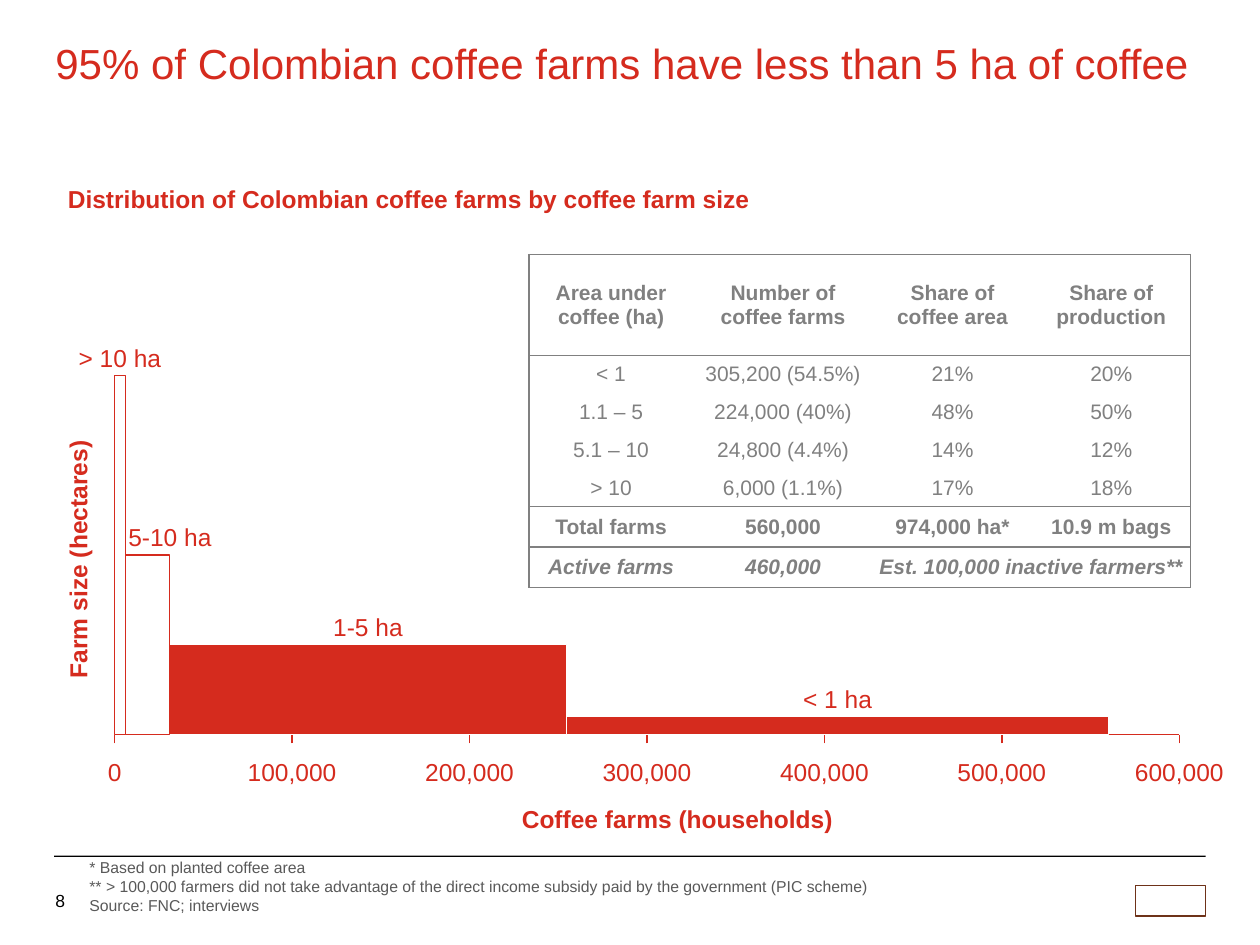
from dataclasses import dataclass
from itertools import accumulate

from lxml import etree
from pptx import Presentation
from pptx import util as u
from pptx.dml.color import RGBColor
from pptx.enum import shapes, text
from pptx.oxml.ns import qn


@dataclass(frozen=True)
class Theme:
    red: str = "D52B1E"
    gray: str = "808080"
    note: str = "595959"
    black: str = "000000"
    white: str = "FFFFFF"
    brown: str = "6E3219"
    font: str = "Arial"
    title: int = 24
    label: int = 14
    cell: int = 12
    number: int = 10
    footnote: int = 9


THEME = Theme()
ALIGN = text.PP_ALIGN
ANCHOR = text.MSO_ANCHOR

AXIS_LEFT, AXIS_Y = 0.91, 5.83
AXIS_WIDTH, AXIS_MAX, AXIS_STEP = 8.45, 600_000, 100_000
INCHES_PER_FARM = AXIS_WIDTH / AXIS_MAX
INCHES_PER_HECTARE = 0.1425
LABEL_WIDTH, LABEL_HEIGHT = 0.8, 0.23

# label, farms, height in hectares, filled, label shift
BARS = [
    ("> 10 ha", 6_000, 20, False, 0),
    ("5-10 ha", 24_800, 10, False, 0.18),
    ("1-5 ha", 224_000, 5, True, 0),
    ("< 1 ha", 305_200, 1, True, 0),
]

TABLE_ROWS = [
    ["Area under coffee (ha)", "Number of coffee farms", "Share of coffee area", "Share of production"],
    ["< 1", "305,200 (54.5%)", "21%", "20%"],
    ["1.1 – 5", "224,000 (40%)", "48%", "50%"],
    ["5.1 – 10", "24,800 (4.4%)", "14%", "12%"],
    ["> 10", "6,000 (1.1%)", "17%", "18%"],
    ["Total farms", "560,000", "974,000 ha*", "10.9 m bags"],
    ["Active farms", "460,000", "Est. 100,000 inactive farmers**", ""],
]
COLUMN_WIDTHS = [1.3, 1.43, 1.26, 1.26]
ROW_HEIGHTS = [0.8] + [0.3] * 4 + [0.32] * 2
RULED_EDGES = {0, 1, 5, 6, 7}

FOOTNOTES = """* Based on planted coffee area
** > 100,000 farmers did not take advantage of the direct income subsidy paid by the government (PIC scheme)
Source: FNC; interviews"""


def color(value):
    return RGBColor.from_string(value)


def write(frame, content, size=THEME.label, fill=THEME.red, bold=False, italic=False,
          align=ALIGN.LEFT, spacing=None):
    """Fill a text frame, one paragraph per line of content."""
    for index, line in enumerate(content.split("\n")):
        paragraph = frame.add_paragraph() if index else frame.paragraphs[0]
        paragraph.alignment = align
        paragraph.line_spacing = spacing
        run = paragraph.add_run()
        run.text = line
        font = run.font
        font.name, font.size, font.bold, font.italic = THEME.font, u.Pt(size), bold, italic
        font.color.rgb = color(fill)


def add_text(slide, content, left, top, width, height, margins=(0, 0), anchor=ANCHOR.TOP,
             wrap=True, rotation=0, **style):
    box = slide.shapes.add_textbox(*map(u.Inches, (left, top, width, height)))
    box.rotation = rotation
    frame = box.text_frame
    frame.word_wrap = wrap
    frame.vertical_anchor = anchor
    frame.margin_left = frame.margin_right = u.Inches(margins[0])
    frame.margin_top = frame.margin_bottom = u.Inches(margins[1])
    write(frame, content, **style)


def add_centered_label(slide, content, center, top):
    add_text(slide, content, center - LABEL_WIDTH / 2, top, LABEL_WIDTH, LABEL_HEIGHT,
             wrap=False, align=ALIGN.CENTER)


def add_rectangle(slide, left, top, width, height, fill, line=None):
    shape = slide.shapes.add_shape(shapes.MSO_SHAPE.RECTANGLE,
                                   *map(u.Inches, (left, top, width, height)))
    shape.shadow.inherit = False
    shape.fill.solid()
    shape.fill.fore_color.rgb = color(fill)
    if line:
        shape.line.color.rgb = color(line)
        shape.line.width = u.Pt(0.75)
    else:
        shape.line.fill.background()


def add_line(slide, x1, y1, x2, y2):
    line = slide.shapes.add_connector(shapes.MSO_CONNECTOR.STRAIGHT,
                                      *map(u.Inches, (x1, y1, x2, y2)))
    line.line.color.rgb = color(THEME.red)
    line.line.width = u.Pt(0.75)
    etree.SubElement(line._element.spPr, qn("a:effectLst"))


def add_axis(slide):
    add_line(slide, AXIS_LEFT, AXIS_Y, AXIS_LEFT + AXIS_WIDTH, AXIS_Y)
    for value in range(0, AXIS_MAX + 1, AXIS_STEP):
        x = AXIS_LEFT + value * INCHES_PER_FARM
        add_line(slide, x, AXIS_Y + 0.07, x, AXIS_Y)
        add_centered_label(slide, f"{value:,}", x, 6.01)


def add_bars(slide):
    """Draw bars whose width is the farm count and whose height is the farm size."""
    starts = accumulate((bar[1] for bar in BARS), initial=0)
    for start, (label, farms, hectares, filled, shift) in reversed(list(zip(starts, BARS))):
        left = AXIS_LEFT + start * INCHES_PER_FARM
        width = farms * INCHES_PER_FARM
        height = hectares * INCHES_PER_HECTARE
        top = AXIS_Y - height
        fill, line = (THEME.red, THEME.white) if filled else (THEME.white, THEME.red)
        add_rectangle(slide, left, top, width, height, fill, line)
        add_centered_label(slide, label, left + width / 2 + shift, top - 0.26)


def set_borders(cell, **sides):
    """Set each side (L, R, T, B) to a gray rule or to none."""
    properties = cell._tc.get_or_add_tcPr()
    for index, (side, ruled) in enumerate(sides.items()):
        line = etree.Element(qn(f"a:ln{side}"), w=str(u.Pt(1)))
        fill = etree.SubElement(line, qn("a:solidFill" if ruled else "a:noFill"))
        if ruled:
            etree.SubElement(fill, qn("a:srgbClr"), val=THEME.gray)
        properties.insert(index, line)


def add_farm_table(slide):
    last_row, last_column = len(ROW_HEIGHTS) - 1, len(COLUMN_WIDTHS) - 1
    table = slide.shapes.add_table(
        last_row + 1, last_column + 1, u.Inches(4.2), u.Inches(2.02),
        u.Inches(sum(COLUMN_WIDTHS)), u.Inches(sum(ROW_HEIGHTS))).table
    for column, width in zip(table.columns, COLUMN_WIDTHS):
        column.width = u.Inches(width)
    for row, height in zip(table.rows, ROW_HEIGHTS):
        row.height = u.Inches(height)
    table.cell(last_row, 2).merge(table.cell(last_row, 3))
    for r, values in enumerate(TABLE_ROWS):
        for c, value in enumerate(values):
            cell = table.cell(r, c)
            cell.fill.solid()
            cell.fill.fore_color.rgb = color(THEME.white)
            cell.vertical_anchor = ANCHOR.MIDDLE
            cell.margin_left = cell.margin_right = u.Inches(0.05)
            cell.margin_top = cell.margin_bottom = u.Inches(0.05)
            right = c == last_column or cell.is_merge_origin
            set_borders(cell, L=c == 0, R=right, T=r in RULED_EDGES, B=r + 1 in RULED_EDGES)
            if not cell.is_spanned:
                write(cell.text_frame, value, size=THEME.cell, fill=THEME.gray,
                      bold=r in (0, 5, 6), italic=r == last_row,
                      align=ALIGN.LEFT if cell.is_merge_origin else ALIGN.CENTER)


def add_footer(slide):
    add_rectangle(slide, 9.01, 7.03, 0.56, 0.24, THEME.white, THEME.brown)
    add_text(slide, "8", 0.44, 6.95, 0.25, 0.4, anchor=ANCHOR.MIDDLE,
             size=THEME.number, fill=THEME.black)
    add_rectangle(slide, 0.43, 6.79, 9.14, 0.01, THEME.black)
    add_text(slide, FOOTNOTES, 0.71, 6.81, 8.2, 0.45, anchor=ANCHOR.BOTTOM,
             size=THEME.footnote, fill=THEME.note)


def main():
    presentation = Presentation()
    presentation.slide_width, presentation.slide_height = u.Inches(10), u.Inches(7.5)
    slide = presentation.slides.add_slide(presentation.slide_layouts[6])
    add_footer(slide)
    add_axis(slide)
    add_bars(slide)
    add_text(slide, "Farm size (hectares)", -0.81, 4.27, 2.86, 0.34, margins=(0.1, 0.05),
             rotation=270, bold=True, align=ALIGN.CENTER)
    add_text(slide, "Coffee farms (households)", 3.85, 6.33, 2.86, 0.34, margins=(0.1, 0.05),
             bold=True, align=ALIGN.RIGHT)
    add_text(slide, "95% of Colombian coffee farms have less than 5 ha of coffee",
             0.44, 0.34, 9, 1.69, size=THEME.title, spacing=0.9)
    add_text(slide, "Distribution of Colombian coffee farms by coffee farm size",
             0.44, 1.41, 5.81, 0.34, margins=(0.1, 0.05), bold=True)
    add_farm_table(slide)
    presentation.save("out.pptx")


if __name__ == "__main__":
    main()
